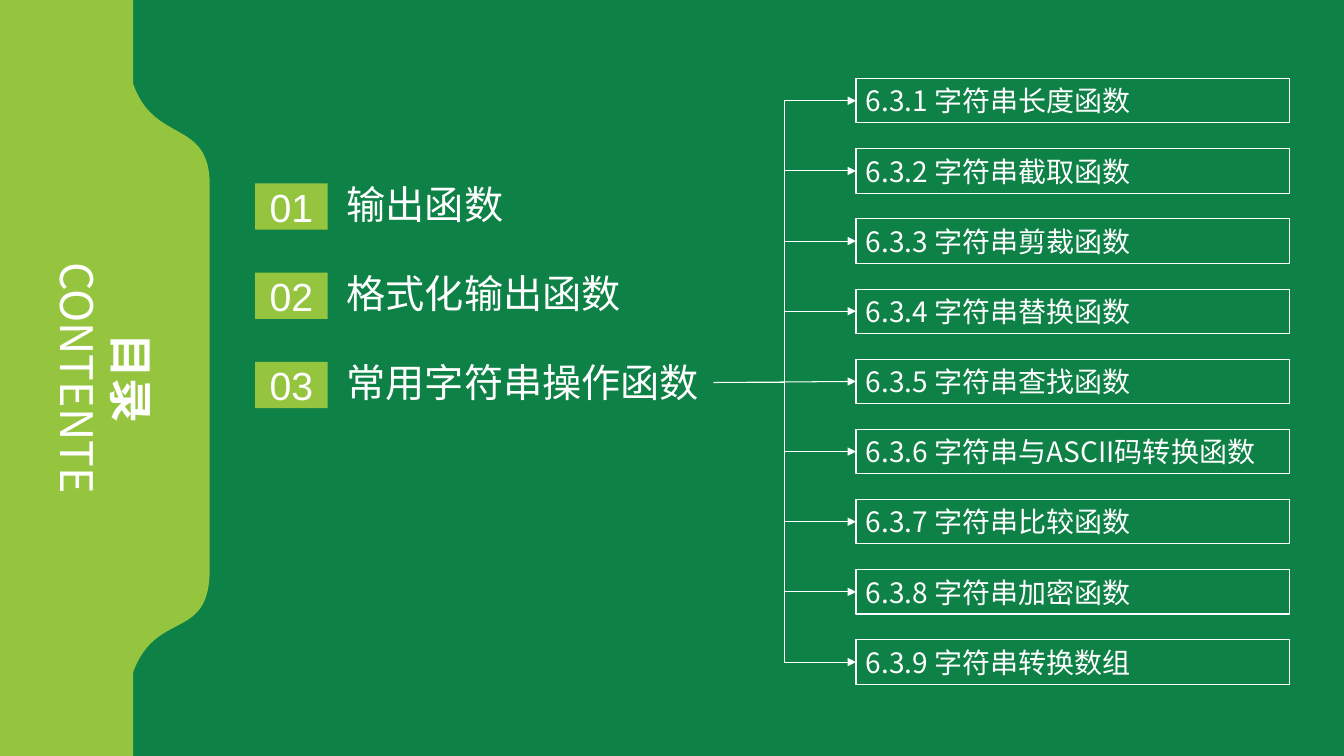
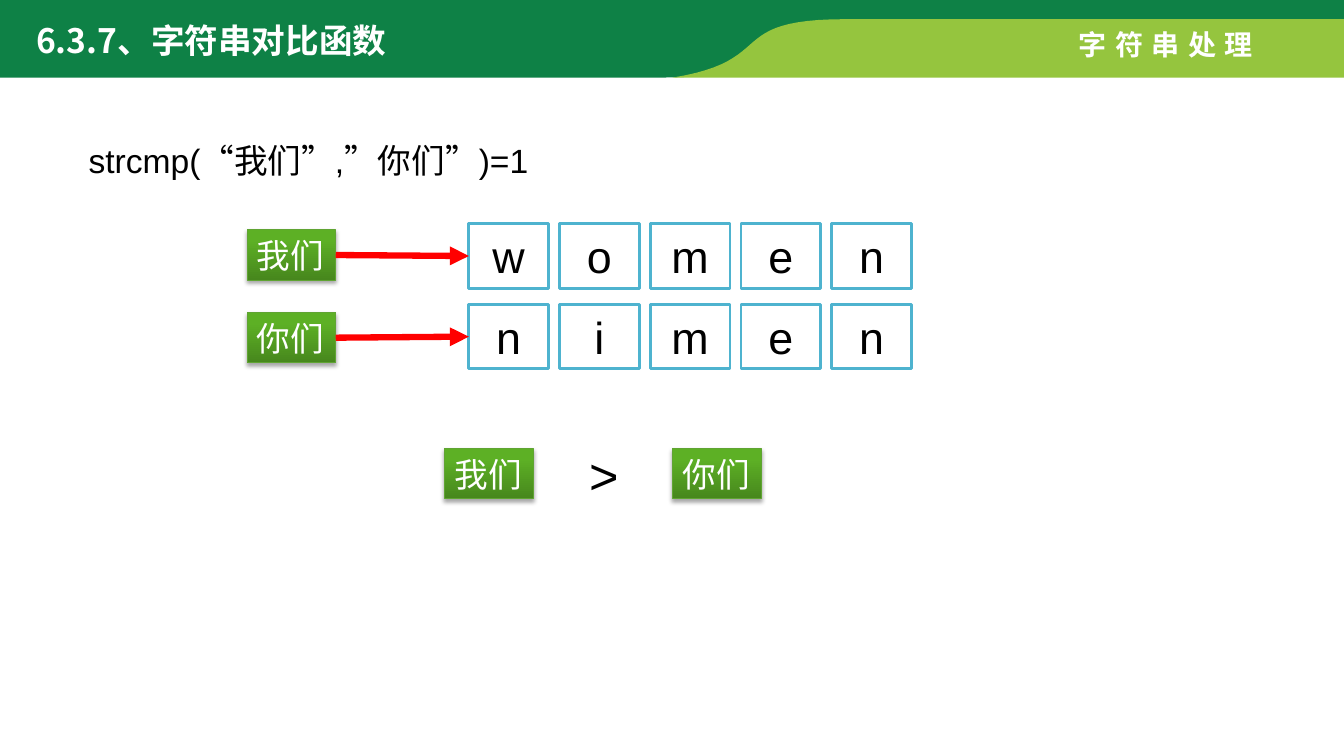
from pptx import Presentation
from pptx.dml.color import RGBColor
from pptx.enum.shapes import MSO_CONNECTOR, MSO_SHAPE
from pptx.enum.text import MSO_ANCHOR, PP_ALIGN
from pptx.oxml import parse_xml
from pptx.oxml.ns import nsdecls
from pptx.util import Inches, Pt

RECTANGLE = MSO_SHAPE.RECTANGLE
STRAIGHT, ELBOW = MSO_CONNECTOR.STRAIGHT, MSO_CONNECTOR.ELBOW
LEFT, CENTER, JUSTIFY = PP_ALIGN.LEFT, PP_ALIGN.CENTER, PP_ALIGN.JUSTIFY
TOP, MIDDLE = MSO_ANCHOR.TOP, MSO_ANCHOR.MIDDLE
LEFT_SIDE, RIGHT_SIDE = 1, 3

LATIN, CHINESE = "Arial", "Noto Sans CJK SC"
COLORS = {
    "green": "0E8146", "lime": "95C53E", "white": "FFFFFF", "black": "000000",
    "blue": "4EB3CF", "red": "FF0000", "tag_line": "60A433",
    "tag_dark": "47871D", "tag_mid": "5DB025", "tag_light": "5DB323",
}

CHAPTERS = ["输出函数", "格式化输出函数", "常用字符串操作函数"]
SECTIONS = [
    "字符串长度函数", "字符串截取函数", "字符串剪裁函数",
    "字符串替换函数", "字符串查找函数", "字符串与ASCII码转换函数",
    "字符串比较函数", "字符串加密函数", "字符串转换数组",
]
PANEL = [
    (0, 0), (1.32, 0), (1.32, 0.83),
    (1.53, 1.44, 2.09, 1.17, 2.08, 1.85), (2.08, 5.65),
    (2.08, 6.37, 1.55, 6.04, 1.32, 6.67), (1.32, 7.5), (0, 7.5),
]
DARK_BAND = [
    (0, 0), (13.33, 0), (13.33, 0.24), (8.27, 0.24), (8.09, 0.28),
    (7.27, 0.44, 7.7, 0.77, 6.55, 0.77), (0, 0.77),
]
LIME_BAND = [
    (8.39, 0.19), (13.33, 0.19), (13.33, 0.77), (6.67, 0.77),
    (7.73, 0.6, 7.17, 0.19, 8.39, 0.19),
]


def color(name):
    return RGBColor.from_string(COLORS[name])


def add_page(deck, background):
    page = deck.slides.add_slide(deck.slide_layouts[6])
    page.background.fill.solid()
    page.background.fill.fore_color.rgb = color(background)
    return page


def write(box, text, size=24, ink="black", font=LATIN, bold=False, tracking=0,
          align=LEFT, line_spacing=None):
    frame = box.text_frame
    para = frame.paragraphs[0]
    if para.runs:
        para = frame.add_paragraph()
    para.alignment = align
    para.line_spacing = line_spacing
    parts = [(text, font)] if isinstance(text, str) else text
    for words, face in parts:
        span = para.add_run()
        span.text = words
        span.font.size = Pt(size)
        span.font.bold = bold
        span.font.name = face
        span.font.color.rgb = color(ink)
        properties = span.font._element
        properties.set("lang", "zh-CN")
        if tracking:
            properties.set("spc", str(tracking * 100))
        properties.append(parse_xml(f'<a:ea {nsdecls("a")} typeface="{CHINESE}"/>'))


def add_text(page, text, left, top, width, height, wrap=True, anchor=TOP, **style):
    box = page.shapes.add_textbox(*map(Inches, (left, top, width, height)))
    box.text_frame.word_wrap = wrap
    box.text_frame.vertical_anchor = anchor
    write(box, text, **style)
    return box


def add_box(page, text, left, top, width, height, fill=None, line=None,
            line_width=0.75, wrap=True, anchor=MIDDLE, **style):
    box = page.shapes.add_shape(RECTANGLE, *map(Inches, (left, top, width, height)))
    box.shadow.inherit = False
    if fill:
        box.fill.solid()
        box.fill.fore_color.rgb = color(fill)
    else:
        box.fill.background()
    if line:
        box.line.color.rgb = color(line)
        box.line.width = Pt(line_width)
    else:
        box.line.fill.background()
    box.text_frame.word_wrap = wrap
    box.text_frame.vertical_anchor = anchor
    write(box, text, **style)
    return box


def add_tag(page, text, left, top):
    tag = add_box(page, text, left, top, 0.88, 0.5, line="tag_line",
                  wrap=False, anchor=TOP, ink="white")
    stops = "".join(
        f'<a:gs pos="{share * 1000}"><a:srgbClr val="{COLORS[name]}"/></a:gs>'
        for share, name in ((0, "tag_dark"), (80, "tag_mid"), (100, "tag_light")))
    gradient = parse_xml(
        f'<a:gradFill {nsdecls("a")} rotWithShape="1"><a:gsLst>{stops}</a:gsLst>'
        '<a:lin ang="16200000" scaled="0"/></a:gradFill>')
    shadow = parse_xml(
        f'<a:outerShdw {nsdecls("a")} blurRad="{Pt(3.1)}" dist="{Pt(1.8)}" '
        f'dir="5400000" rotWithShape="0"><a:srgbClr val="{COLORS["black"]}">'
        '<a:alpha val="35000"/></a:srgbClr></a:outerShdw>')
    properties = tag._element.spPr
    properties.replace(properties.find("{*}noFill"), gradient)
    properties.find("{*}effectLst").append(shadow)
    return tag


def add_arrow(page, source, target, ink, width, kind=STRAIGHT):
    arrow = page.shapes.add_connector(kind, 0, 0, 0, 0)
    arrow.begin_connect(source, RIGHT_SIDE)
    arrow.end_connect(target, LEFT_SIDE)
    arrow.line.color.rgb = color(ink)
    arrow.line.width = Pt(width)
    arrow.line._get_or_add_ln().append(
        parse_xml(f'<a:tailEnd {nsdecls("a")} type="triangle"/>'))
    arrow._element.spPr.append(parse_xml(f'<a:effectLst {nsdecls("a")}/>'))


def curve_points(start, curve, steps=24):
    knots = [start, curve[:2], curve[2:4], curve[4:]]
    for step in range(1, steps + 1):
        t = step / steps
        weights = ((1 - t) ** 3, 3 * t * (1 - t) ** 2, 3 * t * t * (1 - t), t ** 3)
        yield tuple(sum(weight * knot[axis] for weight, knot in zip(weights, knots))
                    for axis in (0, 1))


def add_outline(page, segments, fill):
    points = [segments[0]]
    for segment in segments[1:]:
        if len(segment) == 2:
            points.append(segment)
        else:
            points.extend(curve_points(points[-1], segment))
    corners = [(Inches(x), Inches(y)) for x, y in points]
    builder = page.shapes.build_freeform(*corners[0])
    builder.add_line_segments(corners[1:], close=True)
    outline = builder.convert_to_shape()
    outline.shadow.inherit = False
    outline.fill.solid()
    outline.fill.fore_color.rgb = color(fill)
    outline.line.fill.background()


def add_header(page, title, topic):
    add_outline(page, DARK_BAND, "green")
    add_outline(page, LIME_BAND, "lime")
    add_text(page, topic, 10.6, 0.22, 2.03, 0.44, wrap=False,
             size=20, ink="white", bold=True, tracking=6)
    add_text(page, title, 0.26, 0.15, 3.77, 0.5,
             ink="white", font=CHINESE, bold=True)


def build_contents(deck):
    page = add_page(deck, "green")
    add_outline(page, PANEL, "lime")
    heading_style = {"size": 32, "ink": "white", "font": CHINESE, "align": CENTER}
    heading = add_text(page, "目录", -0.39, 3.16, 2.86, 1.18, bold=True, **heading_style)
    write(heading, "CONTENTE", **heading_style)
    heading.rotation = 90

    for index, name in enumerate(CHAPTERS):
        top = 1.74 + index * 0.885
        chapter = add_text(page, name, 3.34, top, 0.2 + len(name) * 0.393, 0.57,
                           wrap=False, size=28, ink="white")
        add_box(page, f"{index + 1:02}", 2.53, top + 0.08, 0.72, 0.46, fill="lime",
                size=28, ink="white", align=CENTER)

    middle = len(SECTIONS) // 2
    for index, name in enumerate(SECTIONS):
        section = add_box(page, f"6.3.{index + 1} {name}", 8.49, 0.78 + index * 0.696,
                          4.3, 0.44, line="white", size=20, ink="white", font=CHINESE)
        add_arrow(page, chapter, section, "white", 0.75,
                  STRAIGHT if index == middle else ELBOW)


def build_comparison(deck):
    page = add_page(deck, "white")
    add_header(page, "6.3.7、字符串对比函数", "字符串处理")
    call = [("strcmp(", LATIN), ("“我们”", CHINESE), (",", LATIN),
            ("”你们”", CHINESE), (")=1", LATIN)]
    add_text(page, call, 0.78, 1.14, 11.77, 0.71, align=JUSTIFY, line_spacing=1.5)

    for word, letters, tag_top, cell_top in (
            ("我们", "women", 2.28, 2.22), ("你们", "nimen", 3.1, 3.02)):
        tag = add_tag(page, word, 2.45, tag_top)
        cells = [add_box(page, letter, 4.65 + index * 0.9, cell_top, 0.79, 0.64,
                         fill="white", line="blue", line_width=2, wrap=False,
                         size=32, align=CENTER)
                 for index, letter in enumerate(letters)]
        add_arrow(page, tag, cells[0], "red", 4.5)

    add_tag(page, "我们", 4.41, 4.45)
    add_text(page, ">", 5.74, 4.35, 0.5, 0.71, wrap=False, anchor=MIDDLE,
             size=36, align=CENTER)
    add_tag(page, "你们", 6.67, 4.45)


def main():
    deck = Presentation()
    deck.slide_width, deck.slide_height = Inches(13.33), Inches(7.5)
    build_contents(deck)
    build_comparison(deck)
    deck.save("out.pptx")


if __name__ == "__main__":
    main()
